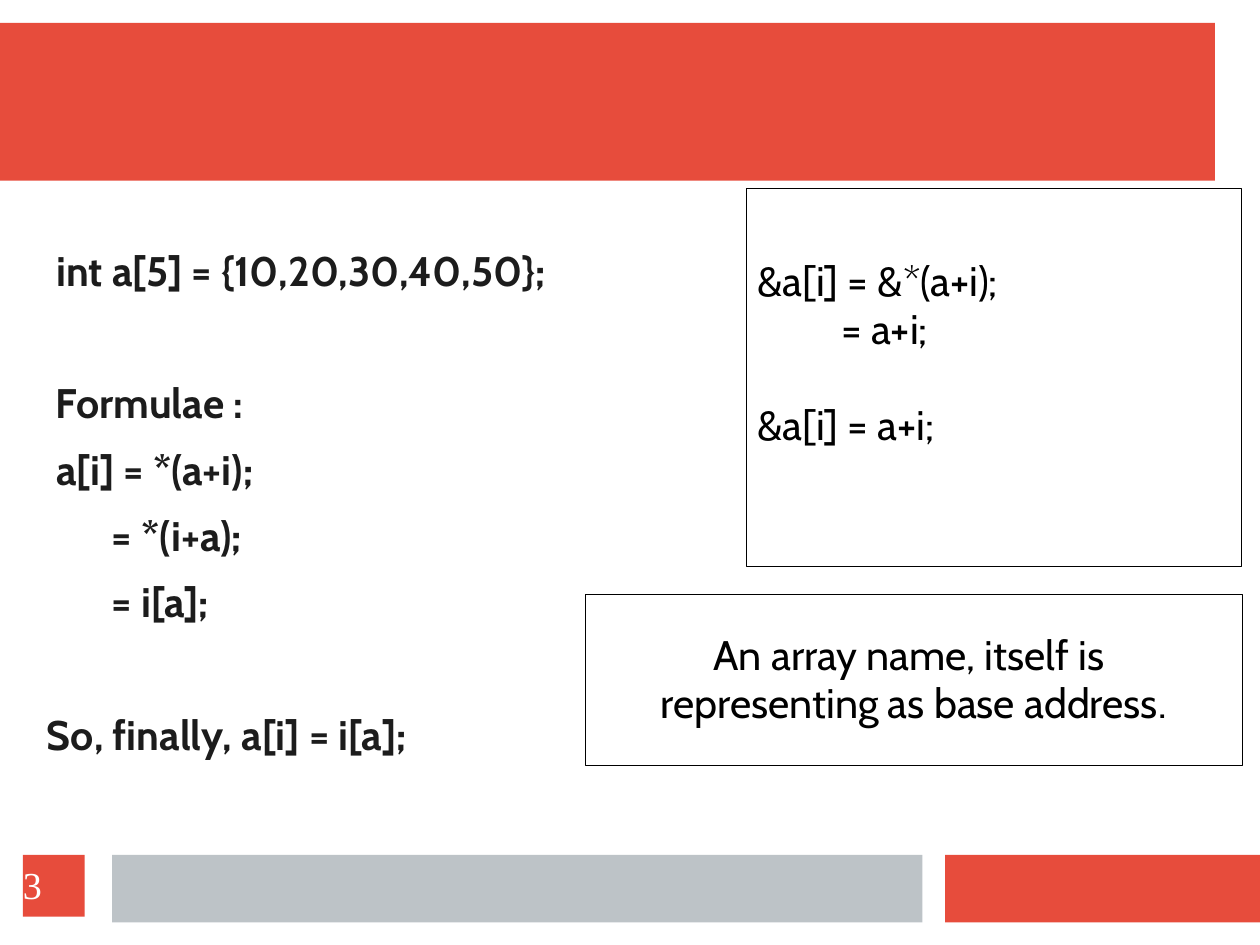
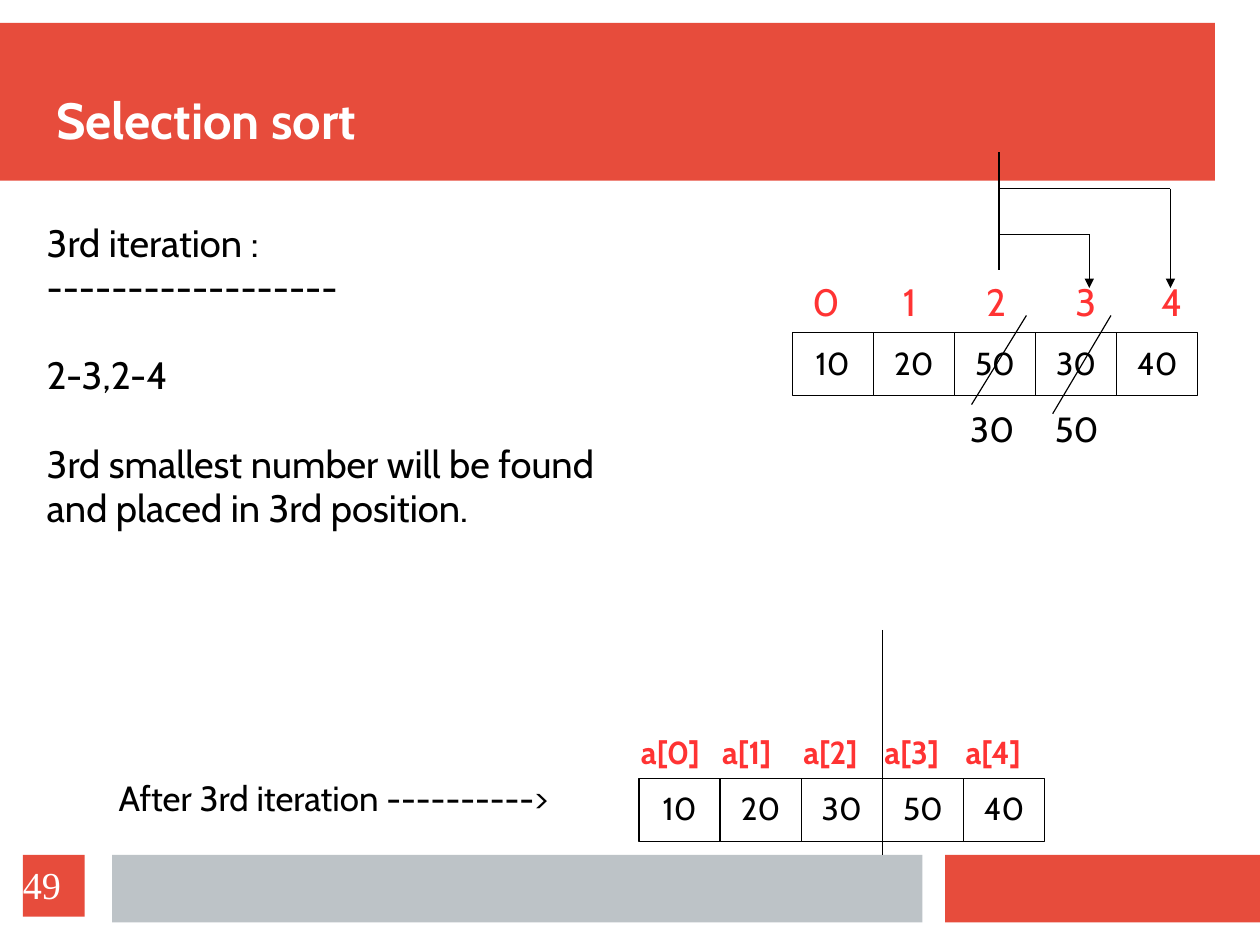
"""Build two slides on arrays and selection sort."""
from dataclasses import dataclass
from typing import Optional

from pptx import Presentation
from pptx.dml.color import RGBColor
from pptx.enum.shapes import MSO_CONNECTOR, MSO_SHAPE
from pptx.enum.text import MSO_ANCHOR, PP_ALIGN
from pptx.oxml.ns import qn
from pptx.shapes.base import BaseShape
from pptx.slide import Slide
from pptx.util import Inches, Pt

RED, GREY, WHITE = "E74C3C", "BDC3C7", "FFFFFF"
BLACK, DARK, BRIGHT = "000000", "1C1C1C", "FF3333"
LEADING = 1.16
PAD = (0.1, 0.05, 0.1, 0.05)
FLUSH = (0, 0, 0, 0)
SIDE = 0.71
WIDTH, HEIGHT = 28 / 2.54, 21 / 2.54


@dataclass(frozen=True)
class Area:
    left: float
    top: float
    width: float
    height: float


@dataclass(frozen=True)
class Style:
    size: float
    color: str = BLACK
    bold: bool = False
    font: str = "Cabin"
    align: PP_ALIGN = PP_ALIGN.LEFT
    anchor: MSO_ANCHOR = MSO_ANCHOR.TOP
    pad: tuple[float, ...] = PAD
    space: float = 0


@dataclass(frozen=True)
class Line:
    text: str
    skip: int = 0
    indent: float = 0


@dataclass(frozen=True)
class Row:
    left: float
    top: float
    values: tuple[int, ...]
    heads: tuple[str, ...]
    spots: tuple[float, ...]
    width: float
    height: float
    style: Style


@dataclass(frozen=True)
class Stroke:
    start: tuple[float, float]
    end: tuple[float, float]
    arrow: bool = False


BANDS = (
    (Area(0, 0.2, 10.63, 1.38), RED),
    (Area(8.27, 7.48, 2.76, 0.59), RED),
    (Area(0.98, 7.48, 7.09, 0.59), GREY),
)
TITLE = Style(32, WHITE, True, anchor=MSO_ANCHOR.BOTTOM, pad=FLUSH)
NUMBER = Style(24, WHITE, font="Times New Roman", anchor=MSO_ANCHOR.MIDDLE, pad=FLUSH)
BODY = Style(26, DARK, True, pad=(0, 0.01, 0, 0), space=11.5)
CODE = Style(26, anchor=MSO_ANCHOR.MIDDLE, pad=(0.1, 0.05, 0.1, 0.47))
NOTE = Style(26, align=PP_ALIGN.CENTER, anchor=MSO_ANCHOR.MIDDLE)
CELL = Style(20, align=PP_ALIGN.CENTER, anchor=MSO_ANCHOR.MIDDLE)

FACTS = (
    Line(" int a[5] = {10,20,30,40,50};", indent=0.02),
    Line("Formulae :", 1, 0.1),
    Line(" a[i] = *(a+i);", indent=0.02),
    Line("       = *(i+a);", indent=0.02),
    Line("       = i[a];", indent=0.02),
    Line("So, finally, a[i] = i[a];", 1, 0.02),
)
PROOF = (
    Line("&a[i] = &*(a+i);"),
    Line("         = a+i;"),
    Line("&a[i] = a+i;", 1),
)
BASE = (Line("An array name, itself is "), Line("representing as base address."))
STEPS = (
    Line("3rd iteration :"),
    Line("------------------"),
    Line("2-3,2-4", 1),
    Line("3rd smallest number will be found", 1),
    Line("and placed in 3rd position."),
)
ROWS = (
    Row(6.93, 2.91, (10, 20, 50, 30, 40), tuple("01234"),
        (7.01, 7.8, 8.53, 9.31, 10.06), 0.41, 0.5, Style(24, BRIGHT)),
    Row(5.59, 6.81, (10, 20, 30, 50, 40), tuple(f"a[{i}]" for i in range(5)),
        tuple(5.51 + i * SIDE for i in range(5)), 0.83, 0.43, Style(20, BRIGHT, True)),
)
STROKES = (
    Stroke((7.72, 5.51), (7.72, 7.48)),
    Stroke((8.74, 2.36), (8.74, 1.33)),
    Stroke((8.74, 2.05), (9.53, 2.05)),
    Stroke((8.74, 1.65), (10.24, 1.65)),
    Stroke((9.53, 2.05), (9.53, 2.52), True),
    Stroke((10.24, 1.65), (10.24, 2.52), True),
    Stroke((8.98, 2.76), (8.5, 3.54)),
    Stroke((9.72, 2.76), (9.21, 3.62)),
)


def tint(code: str) -> RGBColor:
    return RGBColor.from_string(code)


def place(area: Area) -> tuple[int, ...]:
    return tuple(Inches(v) for v in (area.left, area.top, area.width, area.height))


def write(shape: BaseShape, lines: tuple[Line, ...], style: Style) -> None:
    frame = shape.text_frame
    frame.word_wrap = True
    frame.vertical_anchor = style.anchor
    (frame.margin_left, frame.margin_top,
     frame.margin_right, frame.margin_bottom) = (Inches(v) for v in style.pad)
    frame.text = "\n".join(line.text for line in lines)
    for i, (para, line) in enumerate(zip(frame.paragraphs, lines)):
        para.alignment = style.align
        para.line_spacing = 0.97
        if i:
            pitch = style.size * LEADING + style.space
            para.space_before = Pt(round(style.space + line.skip * pitch, 1))
        if line.indent:
            para._p.get_or_add_pPr().set("marL", str(Inches(line.indent)))
        for run in para.runs:
            font = run.font
            font.name, font.size, font.bold = style.font, Pt(style.size), style.bold
            font.color.rgb = tint(style.color)


def label(slide: Slide, area: Area, style: Style, *lines: Line) -> None:
    write(slide.shapes.add_textbox(*place(area)), lines, style)


def block(slide: Slide, area: Area, fill: str, edge: Optional[str] = None) -> BaseShape:
    shape = slide.shapes.add_shape(MSO_SHAPE.RECTANGLE, *place(area))
    shape.shadow.inherit = False
    shape.fill.solid()
    shape.fill.fore_color.rgb = tint(fill)
    if edge:
        shape.line.color.rgb = tint(edge)
        shape.line.width = Pt(0.75)
    else:
        shape.line.fill.background()
    return shape


def panel(slide: Slide, area: Area, style: Style, *lines: Line) -> None:
    write(block(slide, area, WHITE, BLACK), lines, style)


def draw(slide: Slide, stroke: Stroke) -> None:
    ends = (Inches(v) for v in stroke.start + stroke.end)
    wire = slide.shapes.add_connector(MSO_CONNECTOR.STRAIGHT, *ends)
    wire.line.color.rgb = tint(BLACK)
    wire.line.width = Pt(0.75)
    props = wire._element.spPr
    if stroke.arrow:
        edge = wire.line._get_or_add_ln()
        edge.append(edge.makeelement(qn("a:tailEnd"), {"type": "triangle"}))
    props.append(props.makeelement(qn("a:effectLst"), {}))


def array(slide: Slide, row: Row) -> None:
    for i, (value, head, spot) in enumerate(zip(row.values, row.heads, row.spots)):
        area = Area(row.left + i * SIDE, row.top, SIDE, 0.55)
        panel(slide, area, CELL, Line(str(value)))
        above = Area(spot, row.top - row.height, row.width, row.height)
        label(slide, above, row.style, Line(head))


def start(deck: Presentation, number: int, title: str = "") -> Slide:
    slide = deck.slides.add_slide(deck.slide_layouts[6])
    for area, fill in BANDS:
        block(slide, area, fill)
    if title:
        label(slide, Area(0.49, 0.39, 10.09, 0.93), TITLE, Line(title))
    badge = block(slide, Area(0.2, 7.48, 0.54, 0.54), RED)
    write(badge, (Line(str(number)),), NUMBER)
    return slide


def theory(deck: Presentation) -> None:
    slide = start(deck, 3)
    label(slide, Area(0.39, 2.16, 10, 5.08), BODY, *FACTS)
    panel(slide, Area(6.53, 1.65, 4.33, 3.31), CODE, *PROOF)
    panel(slide, Area(5.12, 5.2, 5.75, 1.5), NOTE, *BASE)


def sorting(deck: Presentation) -> None:
    slide = start(deck, 49, "Selection sort")
    for row in ROWS:
        array(slide, row)
    label(slide, Area(0.31, 1.89, 5.75, 2.83), Style(24), *STEPS)
    label(slide, Area(0.94, 6.77, 4.37, 0.47), Style(22),
          Line("After 3rd iteration ---------->"))
    for left, text in ((8.39, "30"), (9.13, "50")):
        label(slide, Area(left, 3.54, 0.59, 0.47), Style(22), Line(text))
    for stroke in STROKES:
        draw(slide, stroke)


def main() -> None:
    deck = Presentation()
    deck.slide_width, deck.slide_height = Inches(WIDTH), Inches(HEIGHT)
    theory(deck)
    sorting(deck)
    deck.save("out.pptx")


if __name__ == "__main__":
    main()
